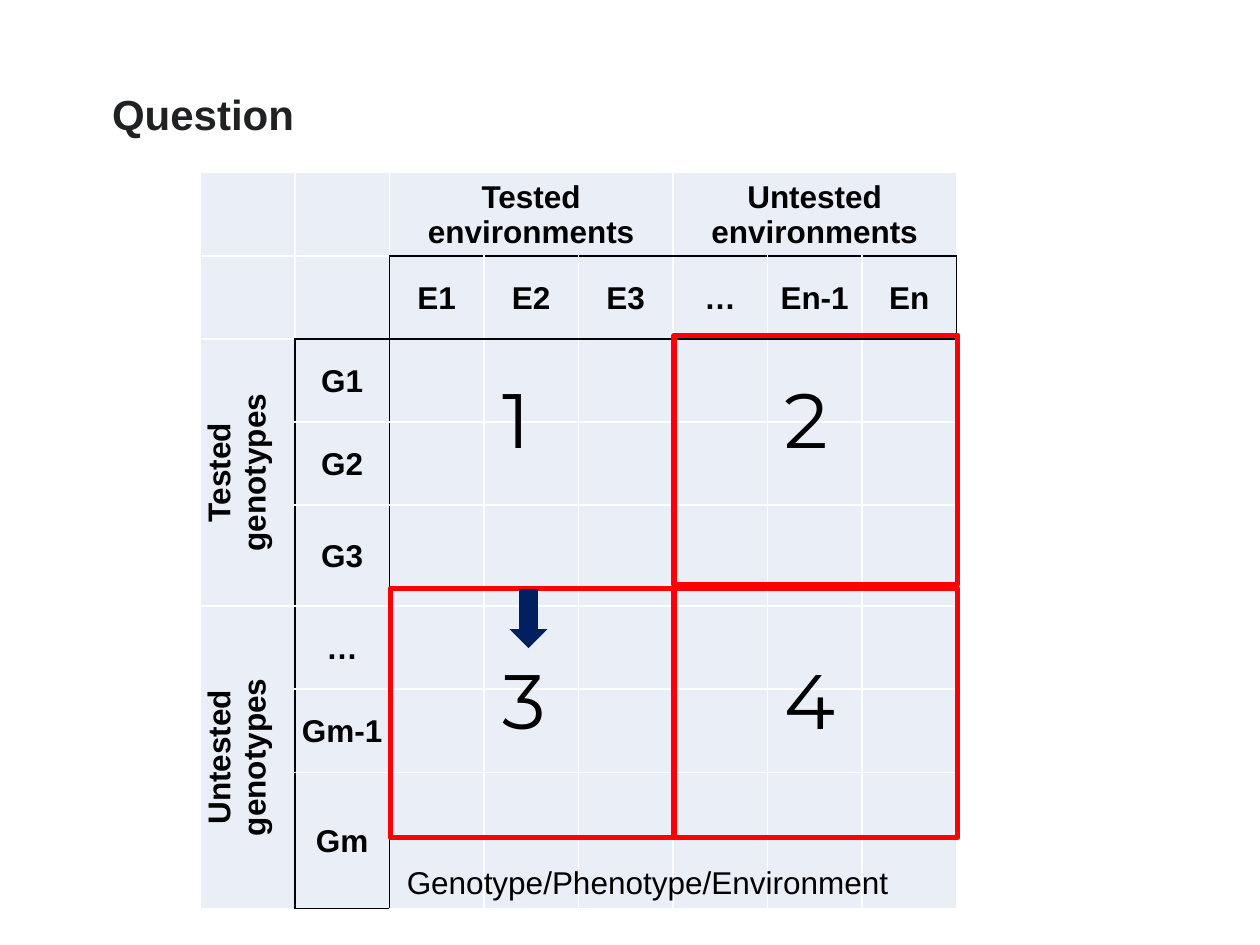
from lxml.etree import SubElement
from pptx import Presentation
from pptx.dml.color import RGBColor
from pptx.enum.shapes import MSO_SHAPE
from pptx.enum.text import MSO_ANCHOR, MSO_AUTO_SIZE, PP_ALIGN
from pptx.oxml.ns import qn
from pptx.util import Cm, Pt

COLOURS = {
    "black": "000000",
    "white": "FFFFFF",
    "cell": "EAEFF7",
    "title": "202122",
    "frame": "FF0000",
    "arrow": "002060",
}
SIZE = 8
LABELS = {
    (0, 2): "Tested environments",
    (0, 5): "Untested environments",
    (2, 0): "Tested genotypes",
    (5, 0): "Untested genotypes",
}
LABELS.update({(1, 2 + i): name for i, name in enumerate(["E1", "E2", "E3", "…", "En-1", "En"])})
LABELS.update({(2 + i, 1): name for i, name in enumerate(["G1", "G2", "G3", "…", "Gm-1", "Gm"])})

BLACK_ACROSS = {(1, column) for column in range(2, SIZE)}
BLACK_ACROSS |= {(2, column) for column in range(1, SIZE)} | {(SIZE, 1)}
BLACK_DOWN = {(row, 1) for row in range(2, SIZE)}
BLACK_DOWN |= {(row, 2) for row in range(1, SIZE)} | {(1, SIZE)}


def colour(name):
    return RGBColor.from_string(COLOURS[name])


def write(frame, text, size=18, font="Arial", ink="black", bold=False, align=PP_ALIGN.LEFT):
    para = frame.paragraphs[0]
    para.alignment = align
    span = para.add_run()
    span.text = text
    span.font.size = Pt(size)
    span.font.name = font
    span.font.bold = bold
    span.font.color.rgb = colour(ink)


def add_text(page, box, text, **style):
    frame = page.shapes.add_textbox(*map(Cm, box)).text_frame
    frame.word_wrap = True
    frame.auto_size = MSO_AUTO_SIZE.SHAPE_TO_FIT_TEXT
    write(frame, text, **style)


def add_border(cell, side, ink):
    line = SubElement(cell._tc.get_or_add_tcPr(), qn("a:" + side), w=str(Pt(1)))
    fill = SubElement(line, qn("a:solidFill"))
    SubElement(fill, qn("a:srgbClr"), val=COLOURS[ink])


def format_cell(cell, row, column):
    edges = {
        "lnL": (row, column) in BLACK_DOWN,
        "lnR": (row, column + 1) in BLACK_DOWN,
        "lnT": (row, column) in BLACK_ACROSS,
        "lnB": (row + 1, column) in BLACK_ACROSS,
    }
    for side, is_black in edges.items():
        add_border(cell, side, "black" if is_black else "white")
    cell.fill.solid()
    cell.fill.fore_color.rgb = colour("cell")
    if (row, column) in LABELS:
        cell.vertical_anchor = MSO_ANCHOR.MIDDLE
        cell.margin_left = cell.margin_right = cell.margin_top = Cm(0.03)
        cell.margin_bottom = 0
        write(cell.text_frame, LABELS[row, column], bold=True, align=PP_ALIGN.CENTER)


def add_grid(page, box):
    table = page.shapes.add_table(SIZE, SIZE, *map(Cm, box)).table
    table.first_row = table.horz_banding = False
    for start in (2, 5):
        table.cell(0, start).merge(table.cell(0, start + 2))
        table.cell(start, 0).merge(table.cell(start + 2, 0))
        table.cell(start, 0)._tc.get_or_add_tcPr().set("vert", "vert270")
    for row in range(SIZE):
        for column in range(SIZE):
            format_cell(table.cell(row, column), row, column)


def add_quadrants(page, box):
    left, top, width, height = box
    frame_width, frame_height = 5.72, 5.03
    for index in range(4):
        row, column = divmod(index, 2)
        x = left + column * (width - frame_width)
        y = top + row * (height - frame_height)
        if index:
            frame = page.shapes.add_shape(
                MSO_SHAPE.RECTANGLE, Cm(x), Cm(y), Cm(frame_width), Cm(frame_height))
            frame.shadow.inherit = False
            frame.fill.background()
            frame.line.color.rgb = colour("frame")
            frame.line.width = Pt(3)
        number_box = (left + 2.01 + column * 5.68, top + 0.61 + row * 5.66, 1.83, 2.13)
        add_text(page, number_box, str(index + 1), size=44, font="Montserrat")


def add_arrow(page, box):
    arrow = page.shapes.add_shape(MSO_SHAPE.RIGHT_ARROW, *map(Cm, box))
    arrow.rotation = 90
    arrow.shadow.inherit = False
    arrow.fill.solid()
    arrow.fill.fore_color.rgb = colour("arrow")
    arrow.line.fill.background()


def build():
    deck = Presentation()
    deck.slide_width, deck.slide_height = Cm(25.4), Cm(19.05)
    page = deck.slides.add_slide(deck.slide_layouts[6])
    add_grid(page, (4.04, 3.48, 15.24, 13.41))
    add_text(page, (7.95, 17.27, 10.21, 1.02), "Genotype/Phenotype/Environment",
             align=PP_ALIGN.CENTER)
    add_text(page, (2.01, 1.65, 5.38, 1.27), "Question", size=24, ink="title", bold=True)
    add_quadrants(page, (7.87, 6.76, 11.44, 10.13))
    add_arrow(page, (10.06, 12.09, 1.19, 0.76))
    deck.save("out.pptx")


build()
